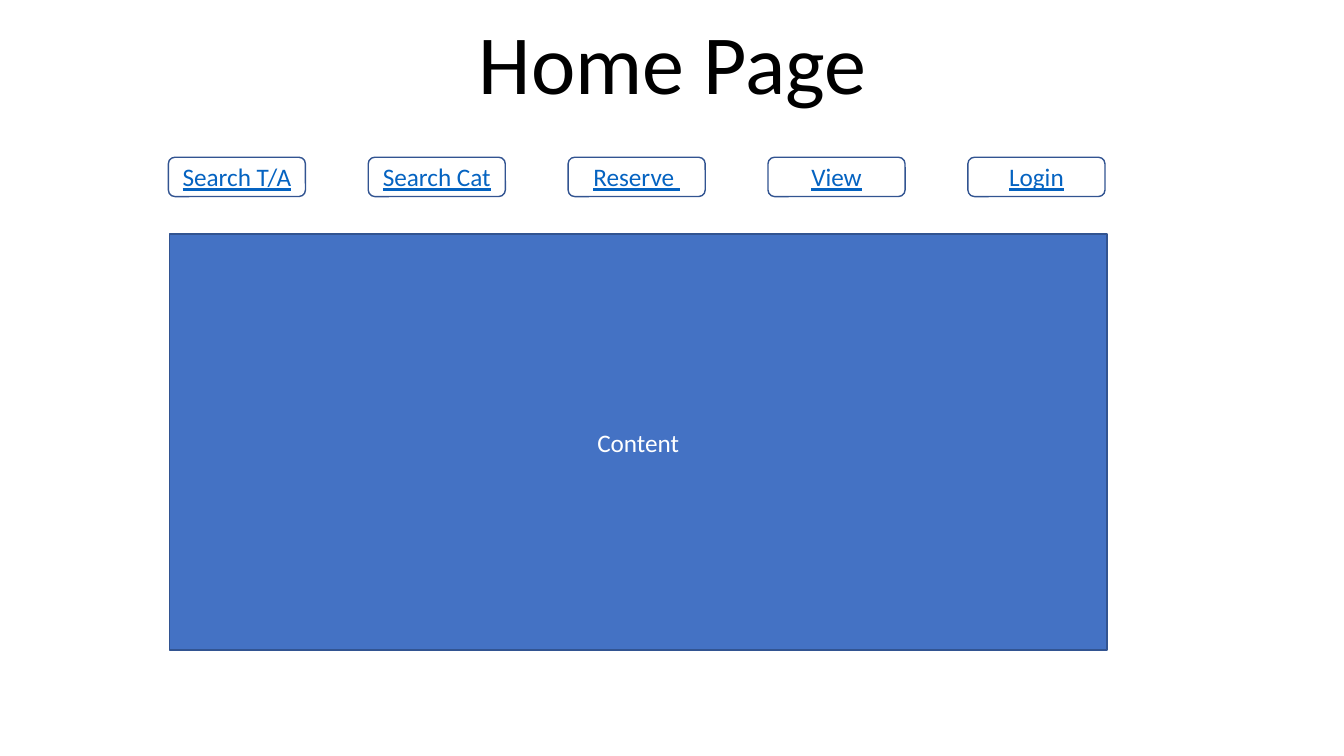
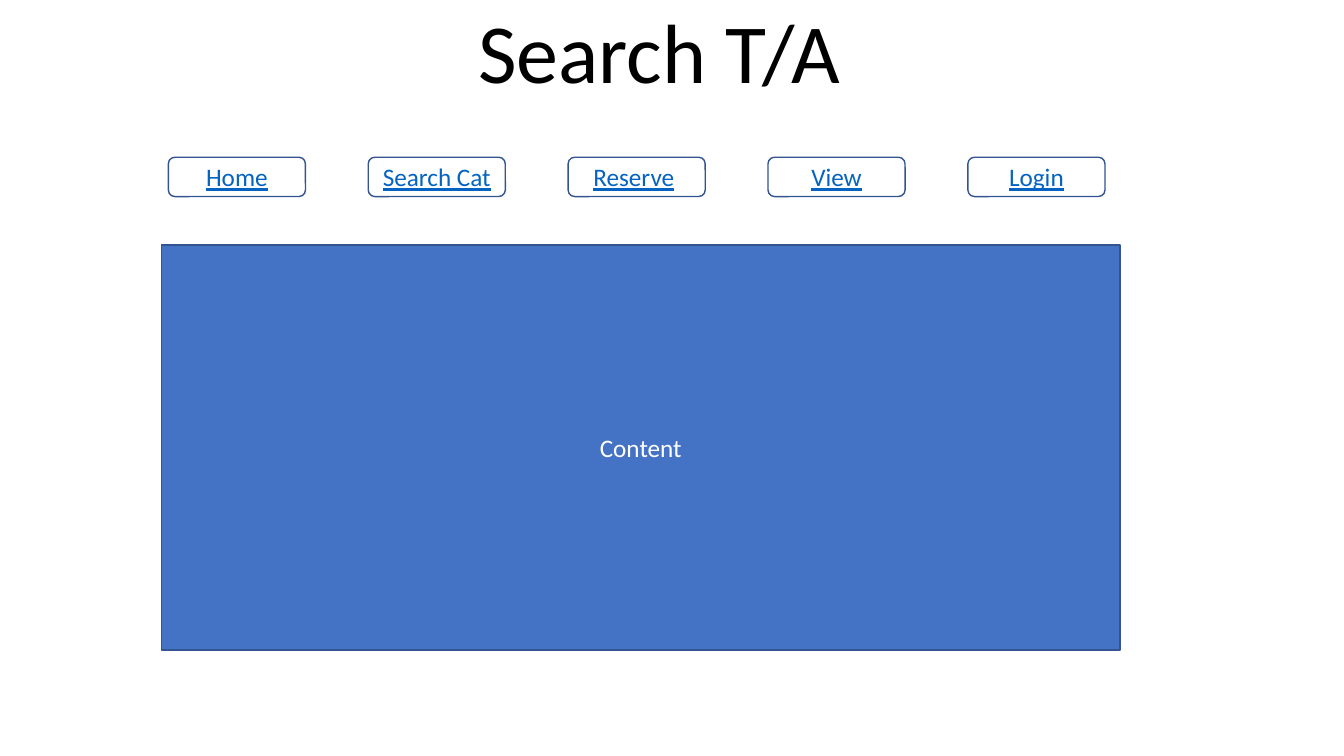
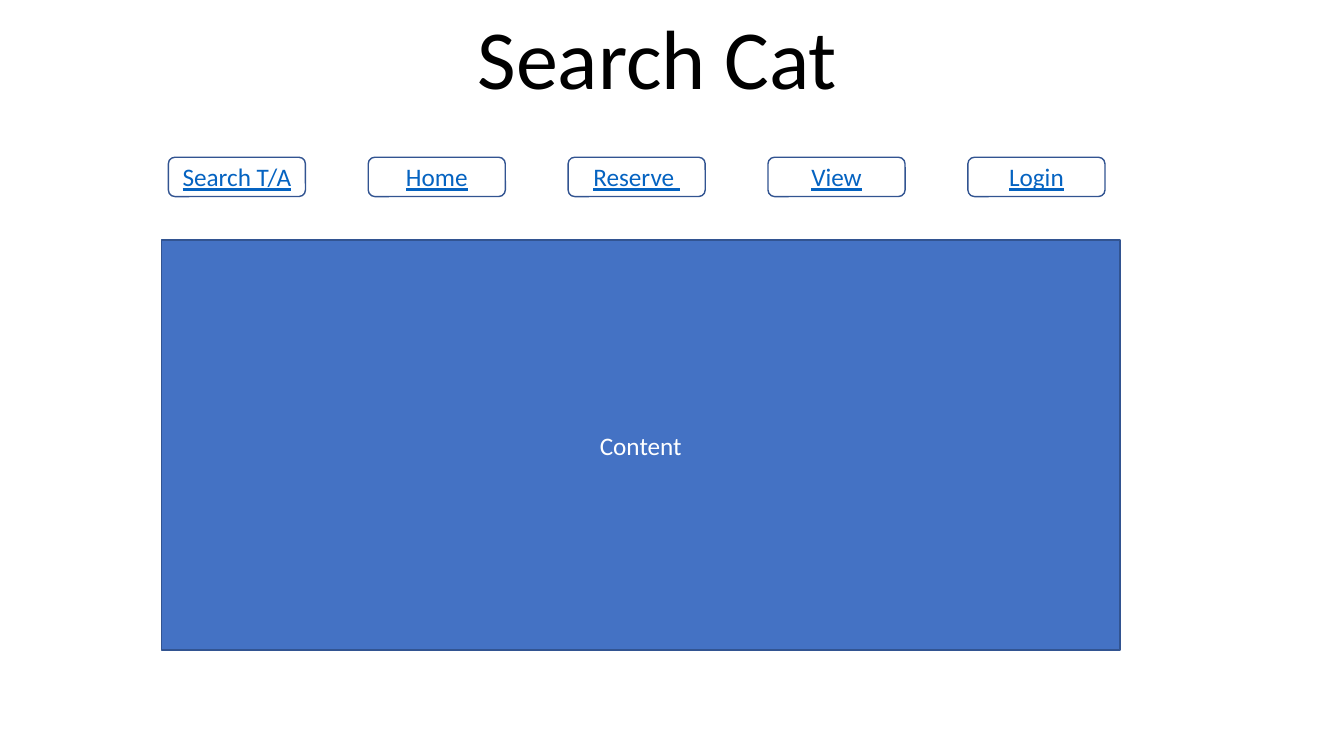
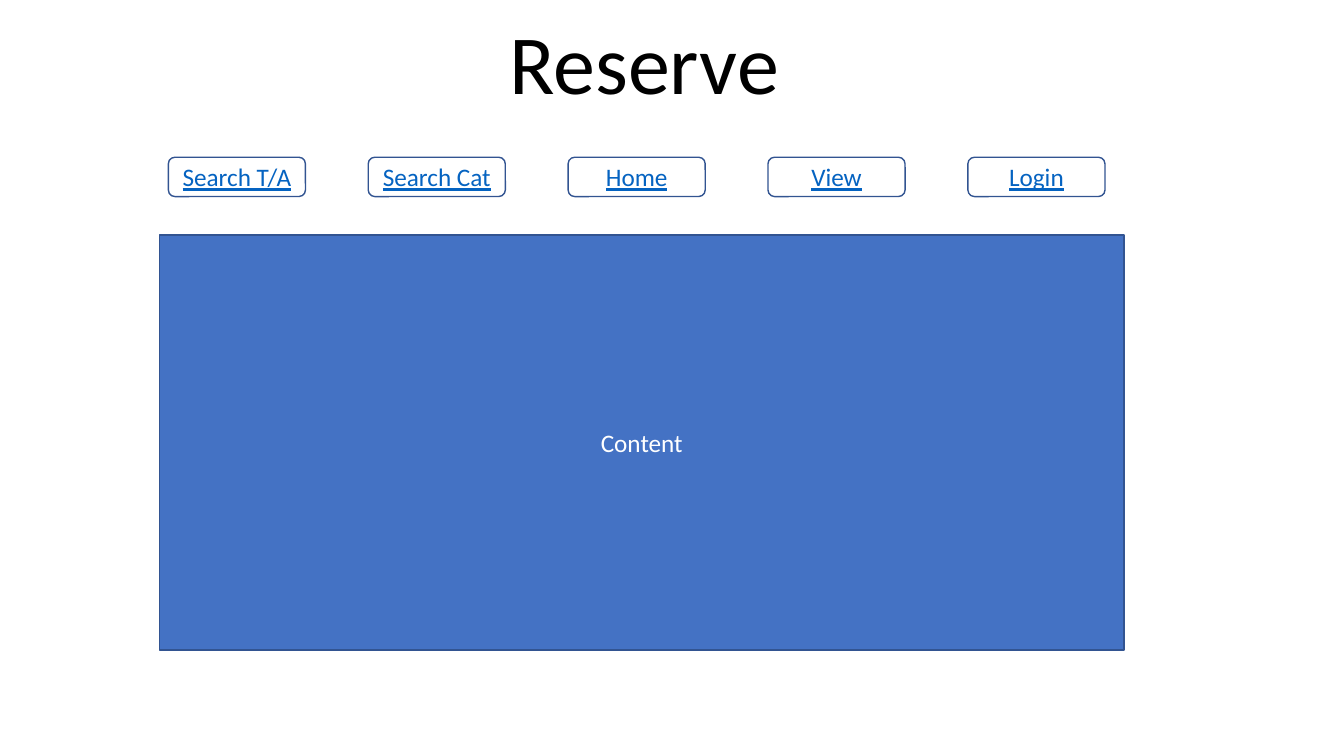
from pptx import Presentation
from pptx.dml.color import RGBColor
from pptx.enum.shapes import MSO_SHAPE
from pptx.enum.text import MSO_ANCHOR, PP_ALIGN
from pptx.util import Inches, Pt

BLACK = RGBColor(0x00, 0x00, 0x00)
WHITE = RGBColor(0xFF, 0xFF, 0xFF)
BLUE = RGBColor(0x44, 0x72, 0xC4)
OUTLINE_BLUE = RGBColor(0x32, 0x54, 0x91)
LINK_BLUE = RGBColor(0x05, 0x63, 0xC1)

TITLE_FONT = {"name": "Calibri", "size": Pt(60), "color": BLACK}
BODY_FONT = {"name": "Calibri", "size": Pt(18), "color": WHITE}
LINK_FONT = {**BODY_FONT, "color": LINK_BLUE, "underline": True}

NAVIGATION_BOX = (1.67, 1.56, 9.29, 0.39)
BUTTON_WIDTH = 1.36
HOME = "Home"
DESTINATIONS = ["Search T/A", "Search Cat", "Reserve ", "View", "Login"]

PAGES = [
    {"title": "Home Page", "title_box": (1.67, 0, 10, 1.17),
     "content_box": (1.68, 2.32, 9.3, 4.13)},
    {"title": "Search T/A", "title_box": (1.54, 0.03, 10, 1.03),
     "content_box": (1.6, 2.43, 9.51, 4.02), "gap_font": BODY_FONT},
    {"title": "Search Cat", "title_box": (1.52, 0.06, 10, 1.06),
     "content_box": (1.6, 2.38, 9.51, 4.07)},
    {"title": "Reserve", "title_box": (1.39, 0.08, 10, 1.09),
     "content_box": (1.58, 2.33, 9.57, 4.12)},
]


def inches(box):
    return [Inches(length) for length in box]


def add_run(paragraph, text, font_format):
    run = paragraph.add_run()
    run.text = text
    for name, value in font_format.items():
        if name == "color":
            run.font.color.rgb = value
        else:
            setattr(run.font, name, value)


def write(shape, runs, anchor=MSO_ANCHOR.MIDDLE, line_spacing=1.0):
    frame = shape.text_frame
    frame.word_wrap = True
    frame.vertical_anchor = anchor
    paragraph = frame.paragraphs[0]
    paragraph.alignment = PP_ALIGN.CENTER
    paragraph.line_spacing = line_spacing
    for text, font_format in runs:
        add_run(paragraph, text, font_format)


def add_panel(slide, kind, box, fill, runs):
    shape = slide.shapes.add_shape(kind, *inches(box))
    shape.shadow.inherit = False
    shape.fill.solid()
    shape.fill.fore_color.rgb = fill
    shape.line.color.rgb = OUTLINE_BLUE
    shape.line.width = Pt(1)
    write(shape, runs)


def add_title(slide, box, title):
    shape = slide.shapes.add_textbox(*inches(box))
    write(shape, [(title, TITLE_FONT)], MSO_ANCHOR.BOTTOM, 0.9)


def add_navigation(slide, box, labels, gap_font):
    left, top, width, height = box
    step = (width - BUTTON_WIDTH) / (len(labels) - 1)
    for index, label in enumerate(labels):
        word = label.rstrip()
        runs = [(word, LINK_FONT)]
        if word != label:
            runs.append((label[len(word):], gap_font))
        button_box = (left + index * step, top, BUTTON_WIDTH, height)
        add_panel(slide, MSO_SHAPE.ROUNDED_RECTANGLE, button_box, WHITE, runs)


def add_content(slide, box):
    add_panel(slide, MSO_SHAPE.FLOWCHART_PROCESS, box, BLUE,
              [("Content", BODY_FONT)])


def add_page(presentation, page):
    slide = presentation.slides.add_slide(presentation.slide_layouts[6])
    labels = [HOME if label.rstrip() == page["title"] else label
              for label in DESTINATIONS]
    add_title(slide, page["title_box"], page["title"])
    add_navigation(slide, NAVIGATION_BOX, labels,
                   page.get("gap_font", LINK_FONT))
    add_content(slide, page["content_box"])


presentation = Presentation()
presentation.slide_width = Inches(13.33)
presentation.slide_height = Inches(7.5)
for page in PAGES:
    add_page(presentation, page)
presentation.save("out.pptx")
